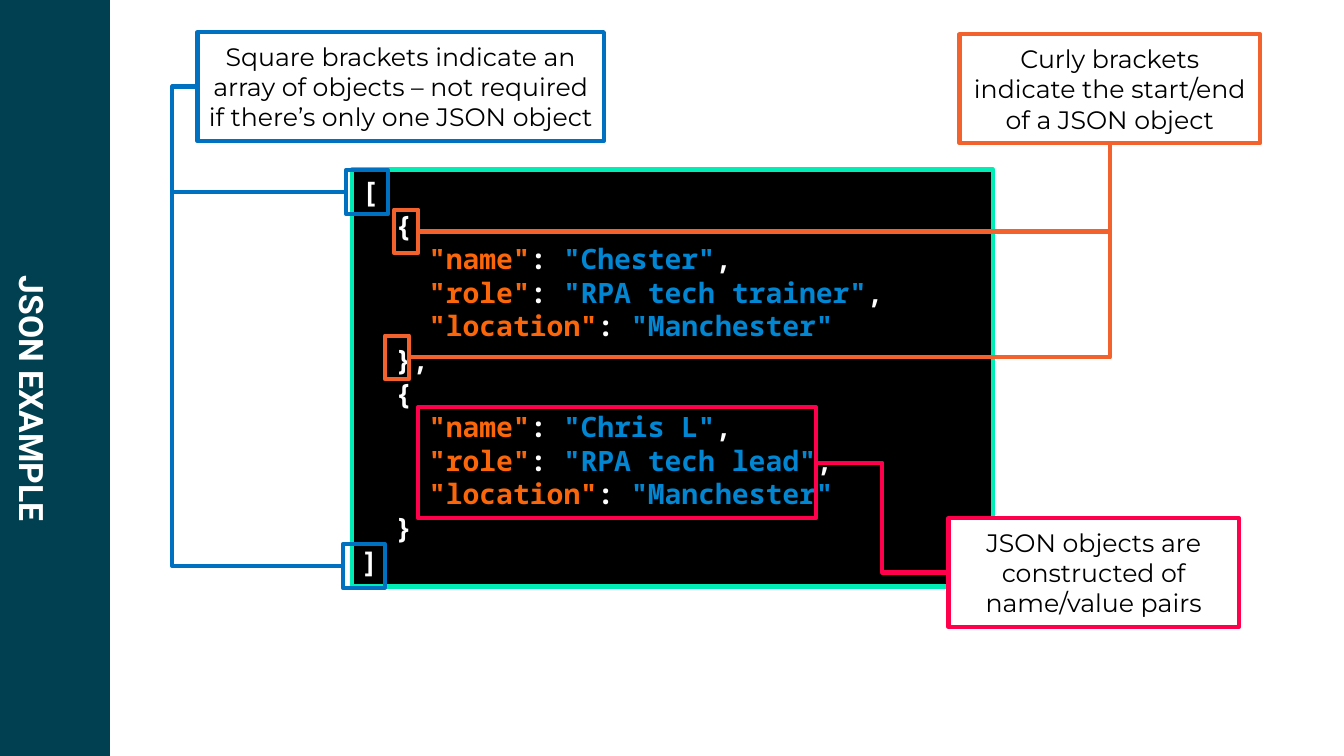
from lxml import etree
from pptx import Presentation
from pptx.dml.color import RGBColor
from pptx.enum.shapes import MSO_CONNECTOR, MSO_SHAPE
from pptx.enum.text import MSO_ANCHOR, PP_ALIGN
from pptx.oxml.ns import qn
from pptx.util import Pt

RECT, ELBOW = MSO_SHAPE.RECTANGLE, MSO_CONNECTOR.ELBOW
TOP, MIDDLE = MSO_ANCHOR.TOP, MSO_ANCHOR.MIDDLE
LEFT, CENTER = PP_ALIGN.LEFT, PP_ALIGN.CENTER

THEME = {
    "band": "004050", "white": "FFFFFF", "black": "000000", "mint": "00EDB5",
    "key": "FB660A", "value": "0086D2",
    "square": "0070C0", "curly": "F3612C", "pairs": "FF004C",
    "title_size": 24, "code_size": 20, "note_size": 18, "line": 3,
    "title_font": "Roboto", "code_font": "Noto Sans Mono", "note_font": "Montserrat",
}


def rgb(name):
    return RGBColor.from_string(THEME[name])


def add_box(box, fill=None, line=None, lines=(), kind="note", align=CENTER, anchor=MIDDLE):
    """Draw a rectangle; lines holds one list of (text, colour) runs per paragraph."""
    sp = s.shapes.add_shape(RECT, *(Pt(v) for v in box))
    sp.shadow.inherit = False
    if fill:
        sp.fill.solid()
        sp.fill.fore_color.rgb = rgb(fill)
    else:
        sp.fill.background()
    if line:
        sp.line.color.rgb = rgb(line)
        sp.line.width = Pt(THEME["line"])
    else:
        sp.line.fill.background()
    tf = sp.text_frame
    tf.word_wrap = True
    tf.vertical_anchor = anchor
    for i, runs in enumerate(lines):
        p = tf.paragraphs[0] if i == 0 else tf.add_paragraph()
        p.alignment = align
        for text, colour in runs:
            r = p.add_run()
            r.text = text
            r.font.name = THEME[kind + "_font"]
            r.font.size = Pt(THEME[kind + "_size"])
            r.font.bold = kind != "note"
            r.font.color.rgb = rgb(colour)
    return sp


prs = Presentation()
prs.slide_width, prs.slide_height = Pt(960), Pt(540)
s = prs.slides.add_slide(prs.slide_layouts[6])

# Side band with vertical title
add_box((0, 0, 78.5, 540), "band")
title = add_box((7.5, 47.5, 28, 474.5), lines=[[("JSON EXAMPLE", "white")]], kind="title")
tf = title.text_frame
tf.margin_left = tf.margin_right = tf.margin_top = tf.margin_bottom = 0
tf.paragraphs[0].line_spacing = 0.9
tf._txBody.bodyPr.set("vert", "vert")

# Code panel
people = [
    ([("name", "Chester"), ("role", "RPA tech trainer"), ("location", "Manchester")], "  },"),
    ([("name", "Chris L"), ("role", "RPA tech lead"), ("location", "Manchester")], "  }"),
]
code = [[("[", "white")]]
for pairs, closing in people:
    code.append([("  {", "white")])
    for i, (key, value) in enumerate(pairs):
        runs = [(f'    "{key}"', "key"), (": ", "white"), (f'"{value}"', "value")]
        if i < len(pairs) - 1:
            runs.append((",", "white"))
        code.append(runs)
    code.append([(closing, "white")])
code.append([("]", "white")])
add_box((251.3, 121, 458, 298), "black", "mint", code, "code", LEFT, TOP)

# Notes: box, fill, colour, text
notes = [
    ((141.1, 23, 290.2, 77.8), None, "square",
     "Square brackets indicate an array of objects – not required if there’s only one JSON object"),
    ((685.4, 24.5, 214.6, 77.8), None, "curly",
     "Curly brackets indicate the start/end of a JSON object"),
    ((677.5, 370, 207.4, 77.8), "white", "pairs",
     "JSON objects are constructed of name/value pairs"),
]
for box, fill, colour, text in notes:
    add_box(box, fill, colour, [[(text, "black")]])

# Marked code parts: box, colour, link end at the note, x of the bend
square_end, curly_end, pairs_end = (141.1, 61.9), (792.9, 102.3), (677.5, 408.9)
marks = [
    ((247, 121.7, 30.2, 31), "square", square_end, 123.1),
    ((244.8, 388.8, 30.2, 31), "square", square_end, 123.1),
    ((281.5, 149.8, 17.3, 31), "curly", curly_end, 792.9),
    ((275, 239.8, 17.3, 31), "curly", curly_end, 792.9),
    ((298.8, 290.9, 284.1, 79.2), "pairs", pairs_end, 630.2),
]
for box, colour, (end_x, end_y), bend_x in marks:
    add_box(box, line=colour)
    x, y, w, h = box
    start_x = x if end_x < x else x + w
    link = s.shapes.add_connector(ELBOW, Pt(start_x), Pt(y + h / 2), Pt(end_x), Pt(end_y))
    link.line.color.rgb = rgb(colour)
    link.line.width = Pt(THEME["line"])
    # Bend position as a share of the link's width
    bend = round(100000 * (bend_x - start_x) / (end_x - start_x))
    spPr = link._element.spPr
    geom = spPr.find(qn("a:prstGeom"))
    etree.SubElement(geom.find(qn("a:avLst")), qn("a:gd"), name="adj1", fmla=f"val {bend}")
    etree.SubElement(spPr, qn("a:effectLst"))

prs.save("out.pptx")
